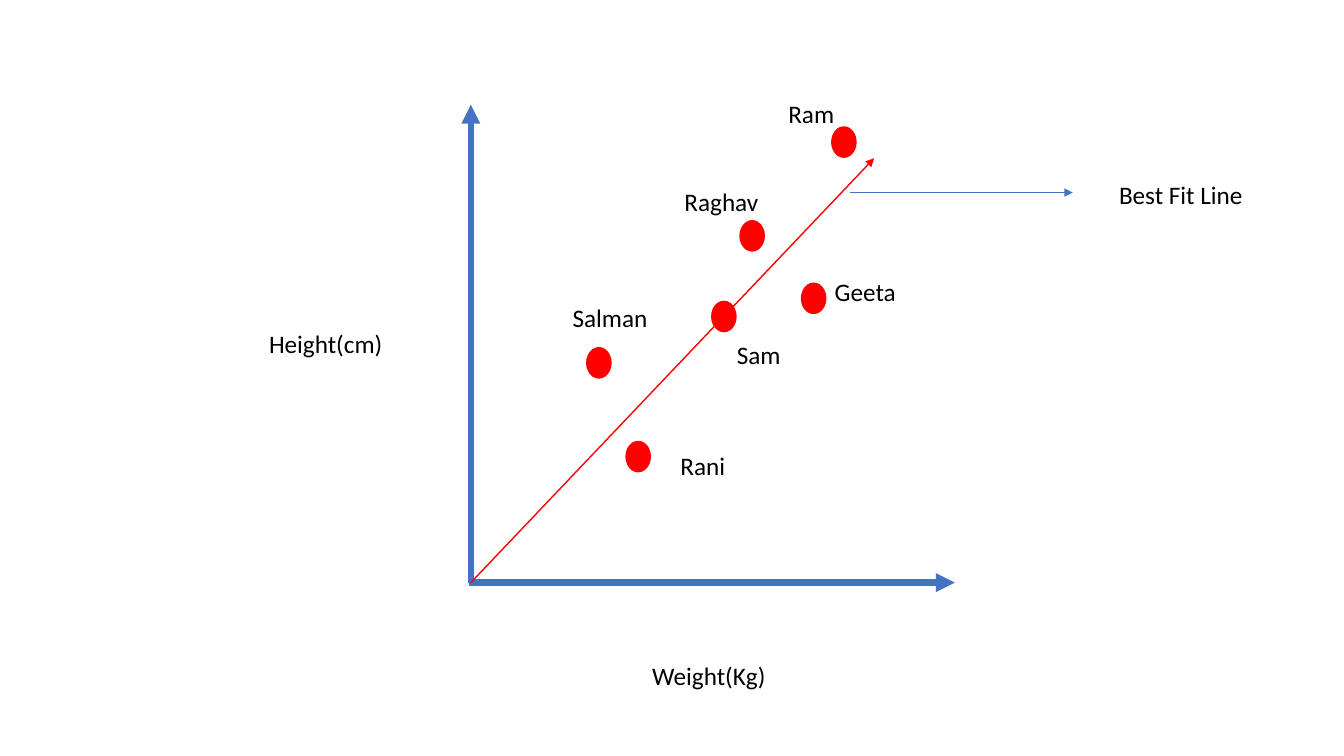
from pptx import Presentation
from pptx.dml.color import RGBColor
from pptx.enum import shapes, text
from pptx.oxml.ns import qn
from pptx.util import Pt
from lxml import etree

EMU_PER_PX = 9144  # 100 px to the inch
BLUE = RGBColor(0x44, 0x72, 0xC4)
RED = RGBColor(0xFF, 0x00, 0x00)
BLACK = RGBColor(0x00, 0x00, 0x00)

ORIGIN = (467, 578)
DOT_WIDTH, DOT_HEIGHT = 24, 30
LABEL_HEIGHT = 40

# name, dot (left, top), label (left, top, width)
PEOPLE = [
    ("Raghav", (734, 219), (669, 180, 103)),
    ("Sam", (706, 299), (721, 332, 81)),
    ("Rani", (621, 438), (665, 442, 81)),
    ("Ram", (825, 126), (772, 93, 81)),
    ("Salman", (582, 345), (558, 295, 115)),
    ("Geeta", (795, 281), (818, 269, 81)),
]


def px(length):
    return length * EMU_PER_PX


class ScatterPage:
    """Draws on one slide with a shared font and size."""

    font_name = "Calibri"
    font_size = Pt(18)

    def __init__(self, deck):
        self.page = deck.slides.add_slide(deck.slide_layouts[6])

    def arrow(self, start, end, color, width):
        line = self.page.shapes.add_connector(
            shapes.MSO_CONNECTOR.STRAIGHT, *map(px, start + end))
        line.line.color.rgb = color
        line.line.width = Pt(width)
        outline = line.line._get_or_add_ln()
        etree.SubElement(outline, qn("a:tailEnd"), type="triangle")
        etree.SubElement(line._element.spPr, qn("a:effectLst"))

    def dot(self, left, top):
        dot = self.page.shapes.add_shape(
            shapes.MSO_SHAPE.OVAL, *map(px, (left, top, DOT_WIDTH, DOT_HEIGHT)))
        dot.shadow.inherit = False
        dot.fill.solid()
        dot.fill.fore_color.rgb = RED
        dot.line.color.rgb = RED
        dot.line.width = Pt(1)

    def label(self, words, left, top, width):
        box = self.page.shapes.add_textbox(
            *map(px, (left, top, width, LABEL_HEIGHT)))
        frame = box.text_frame
        frame.word_wrap = True
        frame.auto_size = text.MSO_AUTO_SIZE.SHAPE_TO_FIT_TEXT
        span = frame.paragraphs[0].add_run()
        span.text = words
        span.font.name = self.font_name
        span.font.size = self.font_size
        span.font.color.rgb = BLACK


def main():
    deck = Presentation()
    deck.slide_width, deck.slide_height = px(1333), px(750)
    page = ScatterPage(deck)

    page.arrow(ORIGIN, (467, 104), BLUE, 4.5)
    page.arrow((465, 578), (947, 578), BLUE, 4.5)
    page.arrow(ORIGIN, (867, 157), RED, 1)
    page.label("Height(cm)", 257, 321, 134)
    page.label("Weight(Kg)", 637, 650, 138)

    for _, dot, _ in PEOPLE:
        page.dot(*dot)
    for name, _, place in PEOPLE:
        page.label(name, *place)

    page.arrow((843, 191), (1064, 191), BLUE, 0.5)
    page.label("Best Fit Line", 1100, 173, 148)
    deck.save("out.pptx")


if __name__ == "__main__":
    main()
